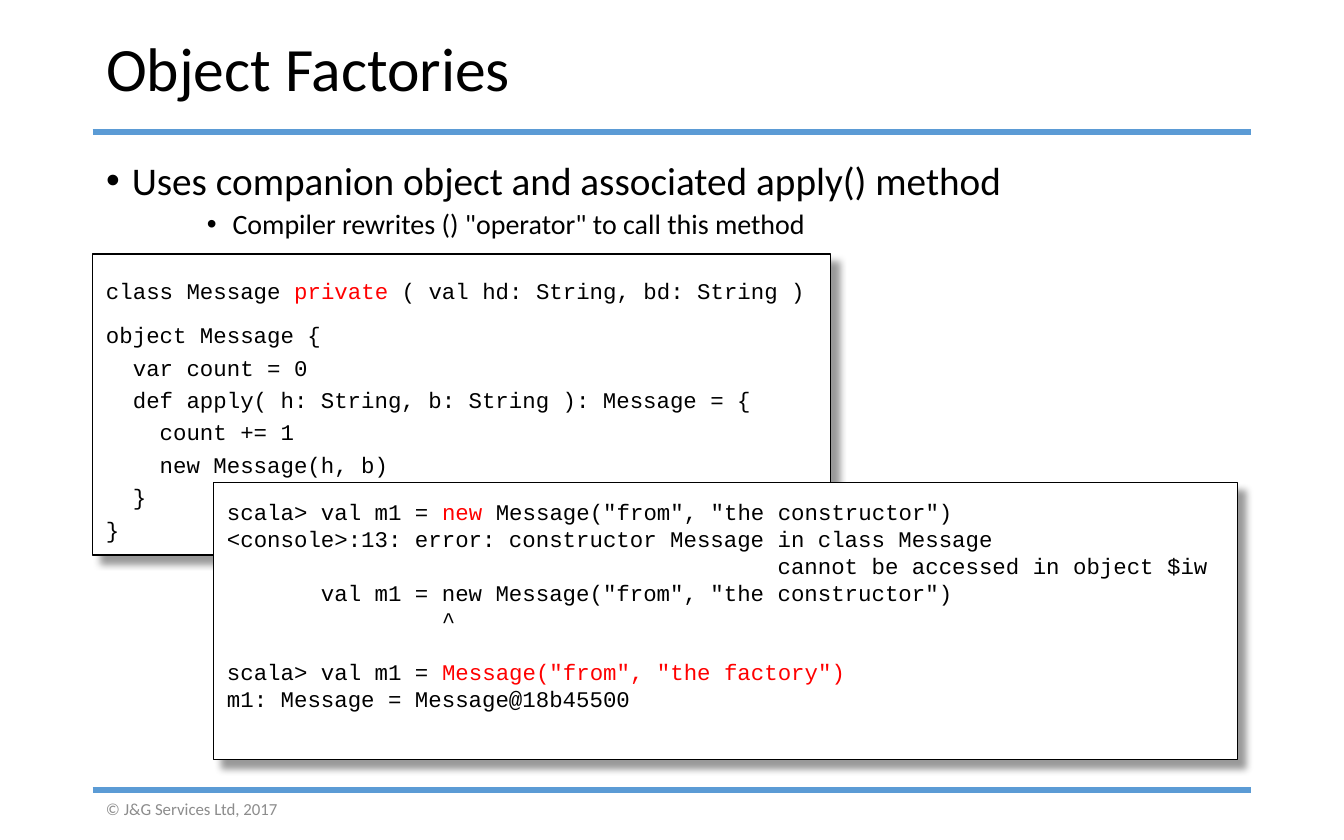
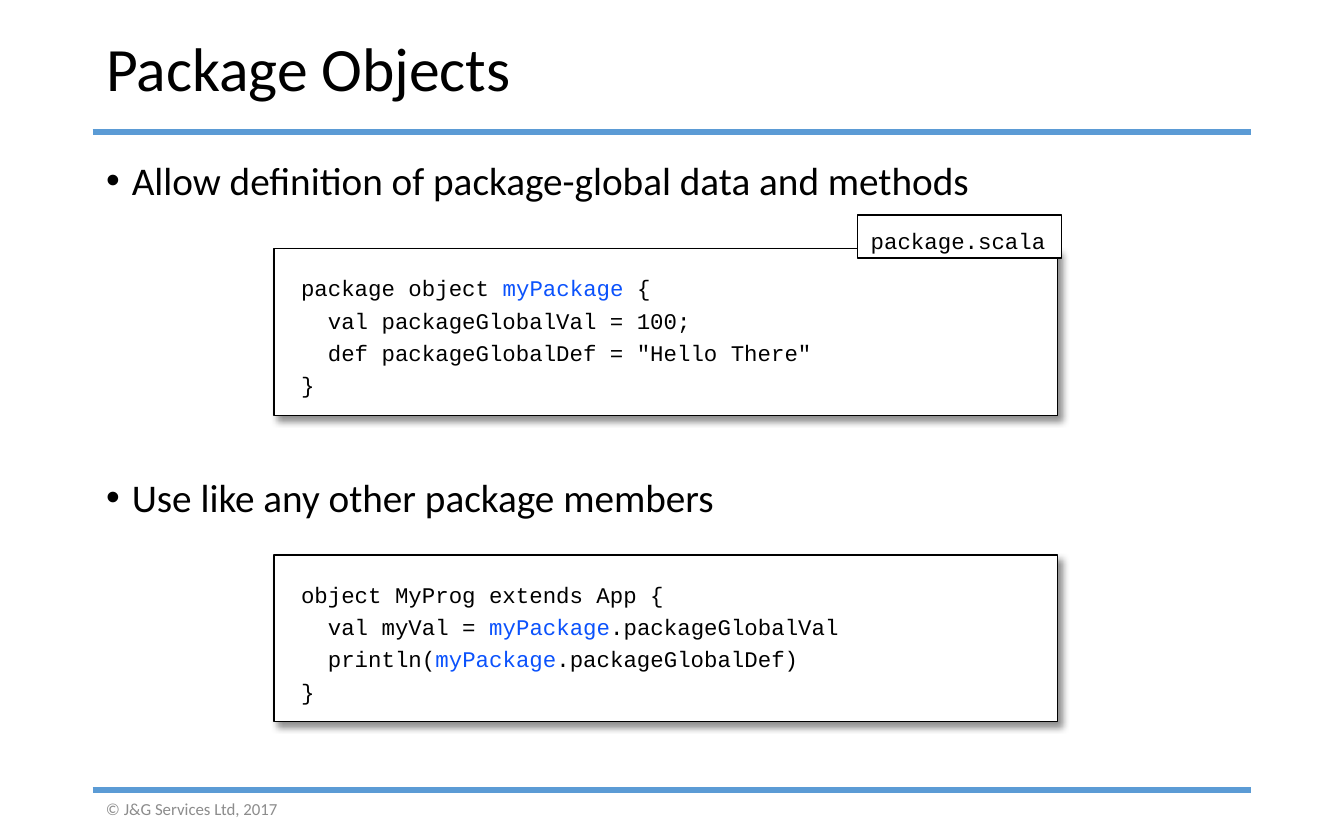
from lxml.etree import SubElement
from pptx import Presentation
from pptx.dml.color import RGBColor
from pptx.enum.shapes import MSO_CONNECTOR as Connector, MSO_SHAPE as Shape
from pptx.enum.text import MSO_ANCHOR as Anchor, MSO_AUTO_SIZE as AutoSize, PP_ALIGN as Align
from pptx.oxml.ns import qn
from pptx.util import Inches, Pt

BLACK, WHITE, RED, BLUE = "000000", "FFFFFF", "FF0000", "0B52FC"
RULE, GREY = "5B9BD5", "8C8C8C"
LEFT, WIDTH = 0.69, 8.62
CODE_LEADING = 17.4


def color(value):
    return RGBColor.from_string(value)


def red(text):
    return text, RED


def blue(text):
    return text, BLUE


class Deck:
    text_font = "Calibri"
    code_font = "Courier New"
    # Bullet level: (font size, left margin, space before)
    levels = {0: (21, 0.19, 7.5), 2: (15, 0.94, 3.8)}

    def __init__(self):
        self.presentation = Presentation()
        self.presentation.slide_width = Inches(10)
        self.presentation.slide_height = Inches(6.25)
        self.slide = None

    def add_slide(self, title):
        layout = self.presentation.slide_layouts[1]
        self.slide = self.presentation.slides.add_slide(layout)
        for y in (0.98, 5.88):
            self.rule(y)
        self.footer("© J&G Services Ltd, 2017")
        self.title(title)

    def place(self, shape, left, top, width, height):
        shape.left, shape.top = Inches(left), Inches(top)
        shape.width, shape.height = Inches(width), Inches(height)

    def run(self, paragraph, text, size, font, fill=BLACK):
        run = paragraph.add_run()
        run.text = text
        run.font.size = Pt(size)
        run.font.name = font
        run.font.color.rgb = color(fill)

    def rule(self, y):
        line = self.slide.shapes.add_connector(
            Connector.STRAIGHT, Inches(LEFT), Inches(y), Inches(LEFT + WIDTH), Inches(y))
        line.line.color.rgb = color(RULE)
        line.line.width = Pt(3)
        SubElement(line._element.spPr, qn("a:effectLst"))

    def footer(self, text):
        box = self.slide.shapes.add_textbox(
            Inches(LEFT), Inches(5.91), Inches(2.25), Inches(0.21))
        frame = box.text_frame
        frame.word_wrap = True
        frame.vertical_anchor = Anchor.MIDDLE
        self.run(frame.paragraphs[0], text, 9, self.text_font, GREY)

    def title(self, text):
        shape = self.slide.shapes.title
        self.place(shape, LEFT, 0.18, WIDTH, 0.7)
        frame = shape.text_frame
        frame.auto_size = AutoSize.NONE
        frame.vertical_anchor = Anchor.MIDDLE
        paragraph = frame.paragraphs[0]
        paragraph.alignment = Align.LEFT
        paragraph.line_spacing = 0.9
        self.run(paragraph, text, 33, self.text_font)

    def bullets(self, height, items, gap=None):
        """Items are (level, text); gap replaces the space between them."""
        shape = self.slide.placeholders[1]
        self.place(shape, LEFT, 1.15, WIDTH, height)
        frame = shape.text_frame
        frame.auto_size = AutoSize.NONE
        for index, (level, text) in enumerate(items):
            size, margin, before = self.levels[level]
            paragraph = frame.add_paragraph() if index else frame.paragraphs[0]
            paragraph.level = level
            paragraph.line_spacing = 0.9
            paragraph.space_before = Pt((gap or before) if index else 0)
            properties = paragraph._p.get_or_add_pPr()
            properties.set("marL", str(Inches(margin)))
            properties.set("indent", str(Inches(-0.19)))
            SubElement(properties, qn("a:buFont"), typeface="Arial")
            SubElement(properties, qn("a:buChar"), char="•")
            self.run(paragraph, text, size, self.text_font)

    def shadow(self, shape, opacity, distance):
        effects = shape._element.spPr.find(qn("a:effectLst"))
        outer = SubElement(effects, qn("a:outerShdw"), blurRad=str(Pt(4)),
                           dist=str(Pt(distance)), dir=str(45 * 60000),
                           algn="tl", rotWithShape="0")
        shade = SubElement(outer, qn("a:srgbClr"), val=BLACK)
        SubElement(shade, qn("a:alpha"), val=str(opacity * 1000))

    def code(self, at, lines, insets=(0.1, 0.05), shadow=None,
             leading=CODE_LEADING, first_leading=None, spaces=None):
        """Lines are lists of runs; spaces maps a line index to its space before."""
        shape = self.slide.shapes.add_shape(Shape.RECTANGLE, *map(Inches, at))
        shape.fill.solid()
        shape.fill.fore_color.rgb = color(WHITE)
        shape.line.color.rgb = color(BLACK)
        shape.line.width = Pt(0.75)
        shape.shadow.inherit = False
        if shadow:
            self.shadow(shape, *shadow)
        frame = shape.text_frame
        frame.word_wrap = True
        frame.vertical_anchor = Anchor.TOP
        frame.margin_left = Inches(insets[0])
        frame.margin_top = frame.margin_bottom = Inches(insets[1])
        for index, line in enumerate(lines):
            paragraph = frame.add_paragraph() if index else frame.paragraphs[0]
            paragraph.alignment = Align.LEFT
            spacing = leading if index else first_leading or leading
            if spacing:
                paragraph.line_spacing = Pt(spacing)
            paragraph.space_before = Pt((spaces or {}).get(index, 0))
            for part in line:
                text, fill = part if isinstance(part, tuple) else (part, BLACK)
                self.run(paragraph, text, 12, self.code_font, fill)


def object_factories(deck):
    deck.add_slide("Object Factories")
    deck.bullets(0.96, [
        (0, "Uses companion object and associated apply() method"),
        (2, 'Compiler rewrites () "operator" to call this method'),
    ])
    style = {"insets": (0.1, 0.12), "shadow": (40, 6)}

    # Class with its companion object
    deck.code((LEFT, 1.89, 5.49, 2.24), [
        ["class Message ", red("private"), " ( val hd: String, bd: String )"],
        ["object Message {"],
        ["  var count = 0"],
        ["  def apply( h: String, b: String ): Message = {"],
        ["    count += 1"],
        ["    new Message(h, b)"],
        ["  }"],
        ["}"],
    ], first_leading=18.4, spaces={1: 6}, **style)

    # Console session
    deck.code((1.59, 3.59, 7.62, 2.06), [
        ["scala> val m1 = ", red("new"), ' Message("from", "the constructor")'],
        ["<console>:13: error: constructor Message in class Message"],
        ["                                         cannot be accessed in object $iw"],
        ['       val m1 = new Message("from", "the constructor")'],
        ["                ^"],
        ["scala> val m1 = ", red('Message("from", "the factory")')],
        ["m1: Message = Message@18b45500"],
    ], leading=None, spaces={5: 13.6}, **style)


def package_objects(deck):
    deck.add_slide("Package Objects")
    deck.bullets(4.57, [
        (0, "Allow definition of package-global data and methods"),
        (0, "Use like any other package members"),
    ], gap=147.3)
    style = {"insets": (0.2, 0.15), "shadow": (43, 3)}

    # Definition, with its file name tab
    deck.code((2.04, 1.85, 5.83, 1.24), [
        ["package object ", blue("myPackage "), "{"],
        ["  val packageGlobalVal = 100;"],
        ['  def packageGlobalDef = "Hello There"'],
        ["}"],
    ], **style)
    deck.code((6.38, 1.6, 1.52, 0.32), [["package.scala"]])

    # Use
    deck.code((2.04, 4.13, 5.83, 1.24), [
        ["object MyProg extends App {"],
        ["  val myVal = ", blue("myPackage"), ".packageGlobalVal"],
        ["  println(", blue("myPackage"), ".packageGlobalDef)"],
        ["}"],
    ], **style)


def main():
    deck = Deck()
    object_factories(deck)
    package_objects(deck)
    deck.presentation.save("out.pptx")


if __name__ == "__main__":
    main()
